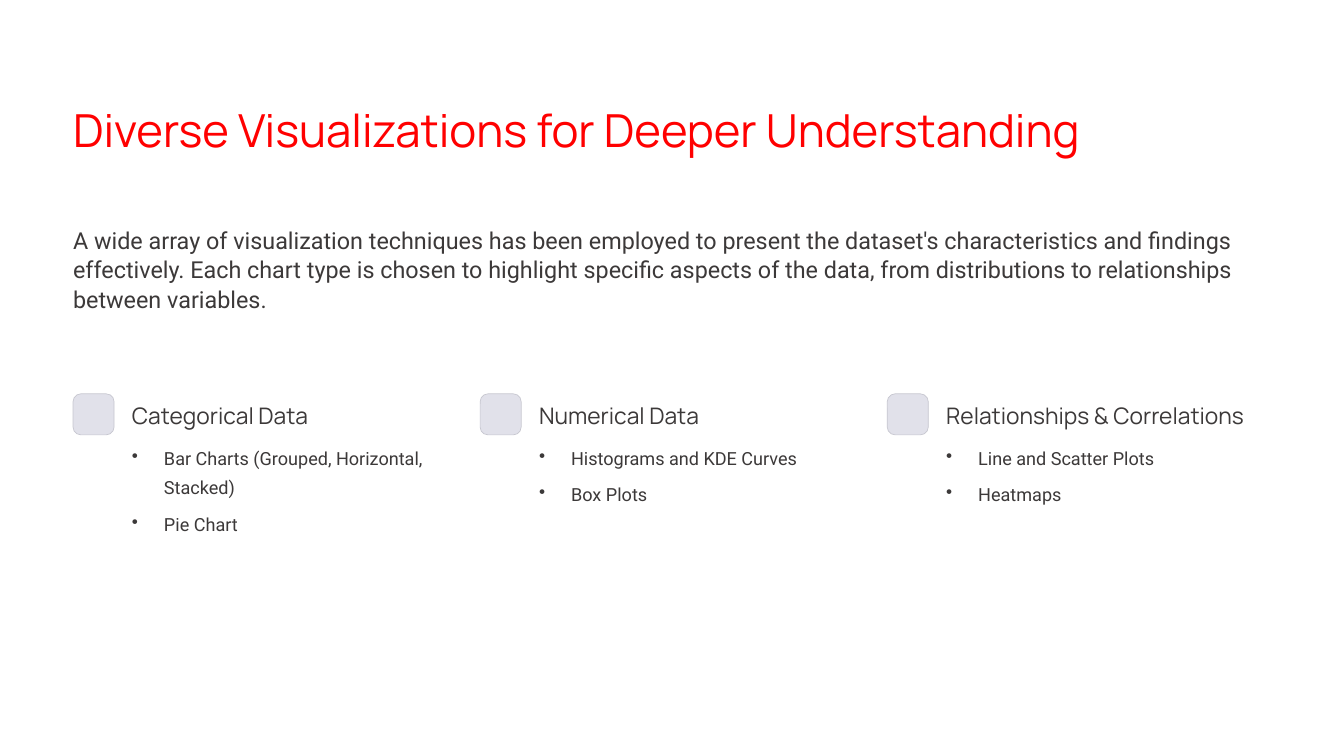
import pptx
import pptx.dml.color
import pptx.enum.shapes
import pptx.enum.text
import pptx.oxml.xmlchemy
import pptx.util
from lxml import etree
from pptx.oxml.ns import qn

Cm = pptx.util.Cm
Pt = pptx.util.Pt


def color(code):
    return pptx.dml.color.RGBColor.from_string(code)


def write(frame, *lines, font, size, lead, ink, wrap=True, gap=0, hang=0):
    frame.margin_left = frame.margin_right = 0
    frame.margin_top = frame.margin_bottom = 0
    frame.word_wrap = wrap
    frame.auto_size = pptx.enum.text.MSO_AUTO_SIZE.NONE
    frame.vertical_anchor = pptx.enum.text.MSO_ANCHOR.TOP
    for i, line in enumerate(lines):
        para = frame.add_paragraph() if i else frame.paragraphs[0]
        para.alignment = pptx.enum.text.PP_ALIGN.LEFT
        para.line_spacing = Pt(lead)
        para.space_before = Pt(gap if i else 0)
        run = para.add_run()
        run.text = line
        run.font.name = font
        run.font.size = Pt(size)
        run.font.color.rgb = color(ink)
        if hang:
            props = para._p.get_or_add_pPr()
            props.set("marL", str(Cm(hang)))
            props.set("indent", str(-Cm(hang)))
            etree.SubElement(props, qn("a:buChar"), char="•")


class Page:
    head = dict(font="Manrope", size=39, lead=48.5, ink="FF0000", wrap=False)
    lead = dict(font="Roboto", size=20, lead=25, ink="3C3939")
    label = dict(font="Manrope", size=19.5, lead=24, ink="3C3939", wrap=False)
    items = dict(font="Roboto", size=15.5, lead=25, ink="3C3939",
                 gap=6, hang=0.97)

    def __init__(self, deck):
        self.slide = deck.slides.add_slide(deck.slide_layouts[5])
        self.shapes = self.slide.shapes
        self.slide.background.fill.solid()
        self.slide.background.fill.fore_color.rgb = color("FFFFFF")

    def title(self, text, x, y, w, h):
        box = self.shapes.title
        box.left, box.top, box.width, box.height = map(Cm, (x, y, w, h))
        write(box.text_frame, text, **self.head)

    def text(self, lines, x, y, w, h, style):
        box = self.shapes.add_textbox(Cm(x), Cm(y), Cm(w), Cm(h))
        write(box.text_frame, *lines, **style)

    def badge(self, x, y, side):
        kind = pptx.enum.shapes.MSO_SHAPE.ROUNDED_RECTANGLE
        box = self.shapes.add_shape(kind, Cm(x), Cm(y), Cm(side), Cm(side))
        box.adjustments[0] = 0.19
        box.shadow.inherit = False
        box.fill.solid()
        box.fill.fore_color.rgb = color("E1E1EA")
        box.line.color.rgb = color("C7C7D0")
        box.line.width = Pt(0.6)

    def group(self, name, items, x):
        self.badge(x, 11.91, 1.24)
        self.text([name], x + 1.78, 12.12, 9.83, 0.86, self.label)
        self.text(items, x + 1.78, 13.31, 9.83, 2.84, self.items)


def main():
    deck = pptx.Presentation()
    deck.slide_width, deck.slide_height = Cm(40.64), Cm(22.86)
    page = Page(deck)
    left, step = 2.21, 12.31
    page.title("Diverse Visualizations for Deeper Understanding",
               left, 3.02, 30.63, 3.23)
    page.text(["A wide array of visualization techniques has been employed to "
               "present the dataset's characteristics and findings effectively. "
               "Each chart type is chosen to highlight specific aspects of the "
               "data, from distributions to relationships between variables."],
              left, 6.81, 36.22, 4.5, page.lead)
    groups = {
        "Categorical Data": ["Bar Charts (Grouped, Horizontal, Stacked)",
                             "Pie Chart"],
        "Numerical Data": ["Histograms and KDE Curves", "Box Plots"],
        "Relationships & Correlations": ["Line and Scatter Plots", "Heatmaps"],
    }
    for i, (name, items) in enumerate(groups.items()):
        page.group(name, items, left + i * step)
    deck.save("out.pptx")


if __name__ == "__main__":
    main()
